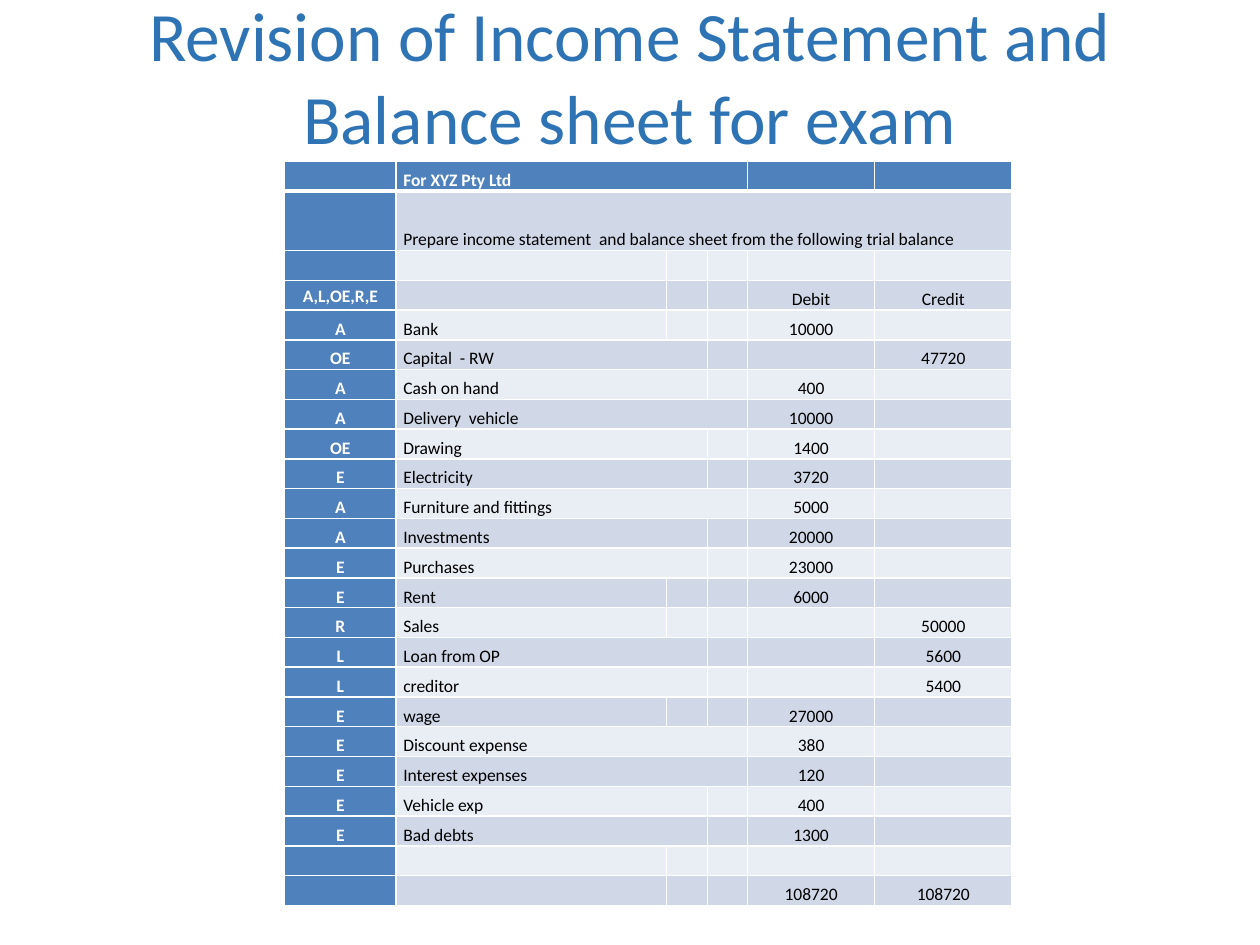
from lxml.etree import SubElement
from pptx import Presentation
from pptx.dml.color import RGBColor
from pptx.enum.text import MSO_ANCHOR, MSO_AUTO_SIZE, PP_ALIGN
from pptx.oxml.ns import qn
from pptx.util import Cm, Pt

TITLE = "Revision of Income Statement and Balance sheet for exam"
FONT = "Calibri"
BLUE, WHITE, BLACK = "4F81BD", "FFFFFF", "000000"
BANDS = ("E9EDF4", "D0D8E8")

# type, account, columns the account spans, debit, credit
ROWS = [
    ("", "For XYZ Pty Ltd", 3, "", ""),
    ("", "Prepare income statement  and balance sheet from the following trial balance", 5, "", ""),
    ("", "", 1, "", ""),
    ("A,L,OE,R,E", "", 1, "Debit", "Credit"),
    ("A", "Bank", 1, "10000", ""),
    ("OE", "Capital  - RW", 2, "", "47720"),
    ("A", "Cash on hand", 2, "400", ""),
    ("A", "Delivery  vehicle", 3, "10000", ""),
    ("OE", "Drawing", 2, "1400", ""),
    ("E", "Electricity", 2, "3720", ""),
    ("A", "Furniture and fittings", 3, "5000", ""),
    ("A", "Investments", 2, "20000", ""),
    ("E", "Purchases", 2, "23000", ""),
    ("E", "Rent", 1, "6000", ""),
    ("R", "Sales", 1, "", "50000"),
    ("L", "Loan from OP", 2, "", "5600"),
    ("L", "creditor", 2, "", "5400"),
    ("E", "wage", 1, "27000", ""),
    ("E", "Discount expense", 3, "380", ""),
    ("E", "Interest expenses", 3, "120", ""),
    ("E", "Vehicle exp", 2, "400", ""),
    ("E", "Bad debts", 2, "1300", ""),
    ("", "", 1, "", ""),
    ("", "", 1, "108720", "108720"),
]
COLUMN_WIDTHS = (2.24, 5.46, 0.82, 0.81, 2.56, 2.77)
ROW_HEIGHT, TASK_ROW_HEIGHT = 0.6, 1.2
TASK_ROW, HEADING_ROW = 1, 3


def color(value):
    return RGBColor.from_string(value)


def add_borders(cell, top, bottom):
    """Draw white cell edges; top and bottom are widths in points."""
    properties = cell._tc.get_or_add_tcPr()
    for side, width in (("L", 1), ("R", 1), ("T", top), ("B", bottom)):
        line = SubElement(properties, qn(f"a:ln{side}"), w=str(Pt(width)))
        fill = SubElement(line, qn("a:solidFill"))
        SubElement(fill, qn("a:srgbClr"), val=WHITE)


def format_cell(cell, text, row, column):
    heading = row == 0 or column == 0
    add_borders(cell, 3 if row == 1 else 1, 3 if row == 0 else 1)
    cell.fill.solid()
    cell.fill.fore_color.rgb = color(BLUE if heading else BANDS[row % 2])
    cell.margin_left = cell.margin_right = Cm(0.15)
    cell.margin_top = cell.margin_bottom = 0
    middle = (row, column) == (HEADING_ROW, 0)
    cell.vertical_anchor = MSO_ANCHOR.MIDDLE if middle else MSO_ANCHOR.BOTTOM
    para = cell.text_frame.paragraphs[0]
    para.line_spacing = 1.15
    para.alignment = PP_ALIGN.LEFT if column == 1 else PP_ALIGN.CENTER
    if not text:  # keeps an empty row from growing to the default text size
        SubElement(para._p, qn("a:endParaRPr"), sz="1000")
        return
    para.text = text
    font = para.runs[0].font
    font.name, font.size, font.bold = FONT, Pt(10), heading
    font.color.rgb = color(WHITE if heading else BLACK)


def add_title(page):
    title = page.shapes.title
    title.left, title.top, title.width, title.height = Cm(1.27), Cm(0.76), Cm(22.86), Cm(3.18)
    frame = title.text_frame
    frame.text = TITLE
    frame.word_wrap = True
    frame.auto_size = MSO_AUTO_SIZE.NONE
    frame.vertical_anchor = MSO_ANCHOR.MIDDLE
    frame.margin_bottom = Cm(1.8)
    para = frame.paragraphs[0]
    para.alignment = PP_ALIGN.CENTER
    font = para.runs[0].font
    font.name, font.size = FONT, Pt(39.6)
    font.color.rgb = color("2E74B5")


def add_trial_balance(page):
    heights = [TASK_ROW_HEIGHT if row == TASK_ROW else ROW_HEIGHT for row in range(len(ROWS))]
    table = page.shapes.add_table(
        len(ROWS), len(COLUMN_WIDTHS), Cm(5.74), Cm(3.25),
        Cm(sum(COLUMN_WIDTHS)), Cm(sum(heights))).table
    table.horz_banding = False
    for column, width in zip(table.columns, COLUMN_WIDTHS):
        column.width = Cm(width)
    for row, (kind, account, span, debit, credit) in enumerate(ROWS):
        table.rows[row].height = Cm(heights[row])
        for column, text in enumerate((kind, account, "", "", debit, credit)):
            format_cell(table.cell(row, column), text, row, column)
        if span > 1:
            table.cell(row, 1).merge(table.cell(row, span))


def main():
    deck = Presentation()
    deck.slide_width, deck.slide_height = Cm(25.4), Cm(19.05)
    page = deck.slides.add_slide(deck.slide_layouts[5])
    add_title(page)
    add_trial_balance(page)
    deck.save("out.pptx")


if __name__ == "__main__":
    main()
